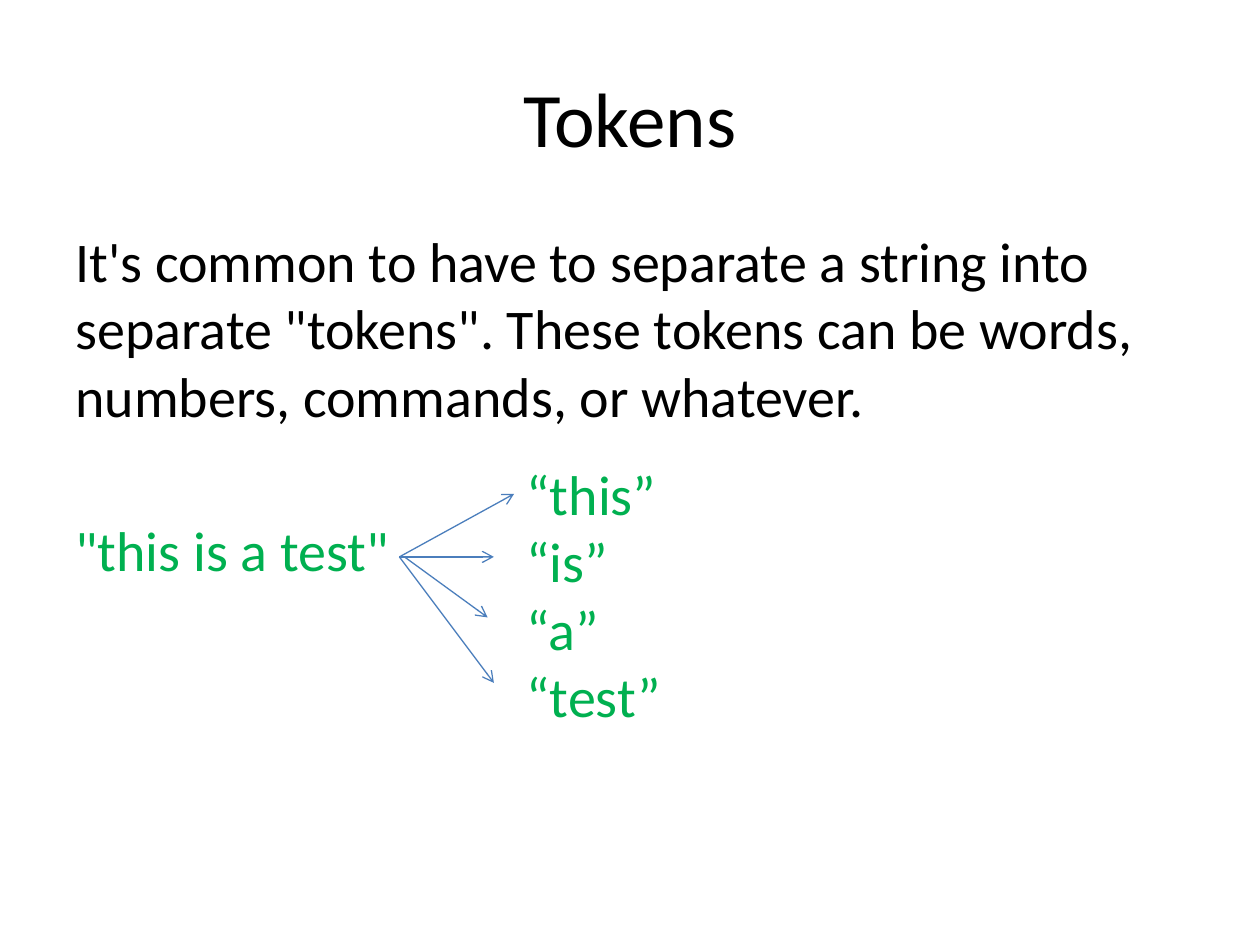
from dataclasses import dataclass

from lxml.etree import SubElement
from pptx import Presentation
from pptx.dml.color import RGBColor
from pptx.enum.shapes import MSO_CONNECTOR
from pptx.enum.text import MSO_ANCHOR, PP_ALIGN
from pptx.oxml.ns import qn
from pptx.slide import Slide
from pptx.text.text import TextFrame
from pptx.util import Inches, Pt


@dataclass(frozen=True)
class Theme:
    font: str = "Calibri"
    title_size: int = 44
    body_size: int = 32
    text: RGBColor = RGBColor(0x00, 0x00, 0x00)
    code: RGBColor = RGBColor(0x00, 0xB0, 0x50)
    arrow: RGBColor = RGBColor(0x4B, 0x7E, 0xBC)
    arrow_width: float = 0.75


@dataclass(frozen=True)
class Line:
    text: str
    color: RGBColor
    space_before: int = 0


@dataclass(frozen=True)
class Arrow:
    start_x: float
    end_x: float
    end_y: float


THEME = Theme()
SOURCE_Y = 4.42
ARROWS = [
    Arrow(3.17, 4.08, 3.92),
    Arrow(3.17, 3.92, SOURCE_Y),
    Arrow(3.21, 3.87, 4.9),
    Arrow(3.17, 3.92, 5.42),
]
BODY = [
    Line(
        "It's common to have to separate a string into separate \"tokens\". "
        "These tokens can be words, numbers, commands, or whatever.",
        THEME.text,
    ),
    Line('"this is a test"', THEME.code, space_before=50),
]
TOKENS = [Line(f"“{word}”", THEME.code) for word in "this is a test".split()]


def fill_text(frame: TextFrame, lines: list[Line], size: int, align: PP_ALIGN) -> None:
    for index, line in enumerate(lines):
        para = frame.add_paragraph() if index else frame.paragraphs[0]
        para.text = line.text
        para.alignment = align
        para.space_before = Pt(line.space_before)
        para.font.name = THEME.font
        para.font.size = Pt(size)
        para.font.color.rgb = line.color


def add_text(slide: Slide, lines: list[Line], left: float, top: float,
             width: float, height: float, wrap: bool) -> None:
    box = slide.shapes.add_textbox(Inches(left), Inches(top), Inches(width), Inches(height))
    box.text_frame.word_wrap = wrap
    fill_text(box.text_frame, lines, THEME.body_size, PP_ALIGN.LEFT)


def add_arrow(slide: Slide, arrow: Arrow) -> None:
    connector = slide.shapes.add_connector(
        MSO_CONNECTOR.STRAIGHT, Inches(arrow.start_x), Inches(SOURCE_Y),
        Inches(arrow.end_x), Inches(arrow.end_y),
    )
    connector.line.color.rgb = THEME.arrow
    connector.line.width = Pt(THEME.arrow_width)
    SubElement(connector.line._get_or_add_ln(), qn("a:tailEnd"), type="arrow")
    SubElement(connector._element.spPr, qn("a:effectLst"))


deck = Presentation()
deck.slide_width, deck.slide_height = Inches(10), Inches(7.5)
page = deck.slides.add_slide(deck.slide_layouts[5])

# Title
title = page.shapes.title
title.left, title.top = Inches(0.5), Inches(0.3)
title.width, title.height = Inches(9), Inches(1.25)
title.text_frame.vertical_anchor = MSO_ANCHOR.MIDDLE
fill_text(title.text_frame, [Line("Tokens", THEME.text)], THEME.title_size, PP_ALIGN.CENTER)

# Explanation with the sample string, and its tokens
add_text(page, BODY, 0.5, 1.75, 9, 4.95, wrap=True)
add_text(page, TOKENS, 4.08, 3.6, 1.28, 2.26, wrap=False)

# Arrows from the string to each token
for arrow in ARROWS:
    add_arrow(page, arrow)

deck.save("out.pptx")
